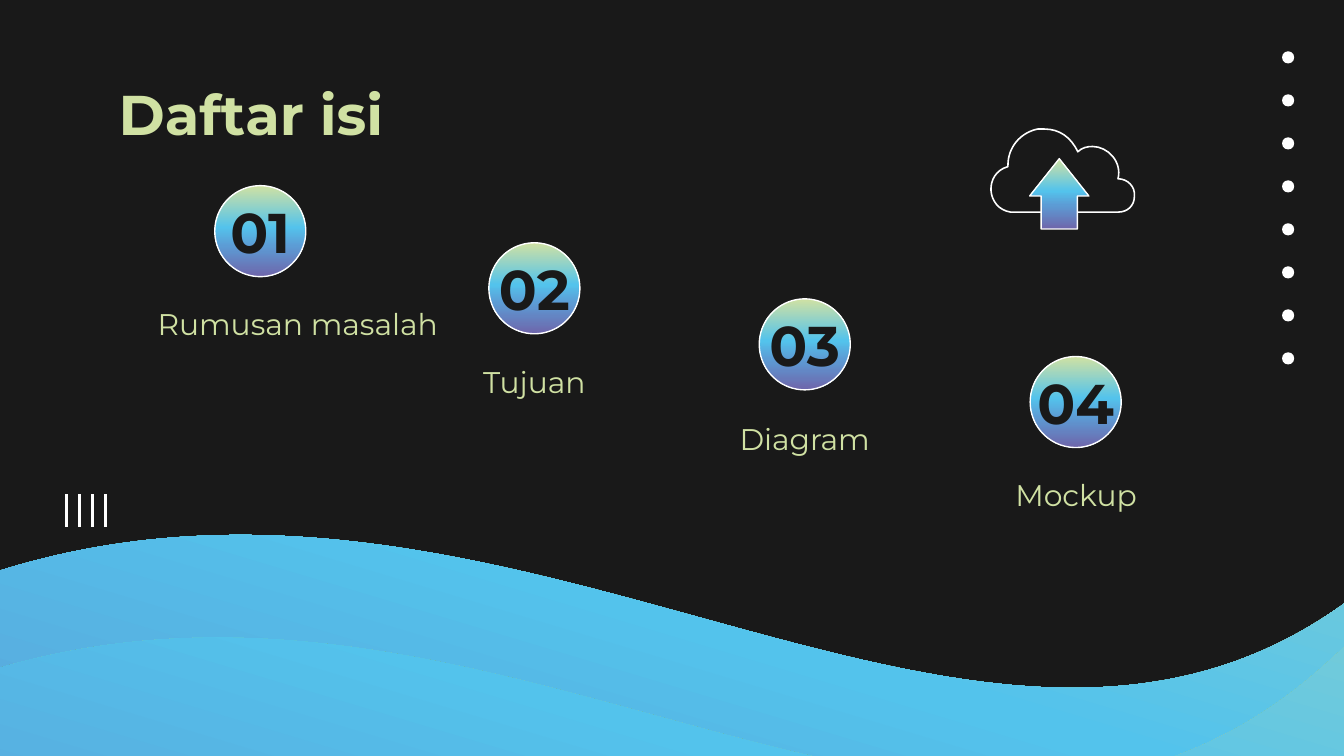
from math import cos, radians, sin

from lxml import etree
from pptx import Presentation
from pptx.dml.color import RGBColor
from pptx.enum.shapes import MSO_CONNECTOR, MSO_SHAPE
from pptx.enum.text import MSO_ANCHOR, MSO_AUTO_SIZE, PP_ALIGN
from pptx.oxml.ns import qn
from pptx.util import Cm, Pt

OVAL, UP_ARROW = MSO_SHAPE.OVAL, MSO_SHAPE.UP_ARROW
STRAIGHT = MSO_CONNECTOR.STRAIGHT
TOP, MIDDLE = MSO_ANCHOR.TOP, MSO_ANCHOR.MIDDLE
LEFT, CENTER = PP_ALIGN.LEFT, PP_ALIGN.CENTER
NO_FIT = MSO_AUTO_SIZE.NONE

# Content (lengths in cm)
DARK, LIME, WHITE = "191919", "D0E1A3", "FFFFFF"
GRADIENT = [(0, LIME), (46, "53C3EC"), (66, "5C9CD5"), (100, "6E66AB")]
TITLE = "Daftar isi"
# number and its width, circle left and top, label, its centre, top and width
TOPICS = [
    ("01", 2.44, 4.06, 3.51, "Rumusan masalah", 5.63, 5.53, 5.87),
    ("02", 3.81, 9.24, 4.59, "Tujuan", 10.10, 6.63, 4.57),
    ("03", 3.81, 14.35, 5.65, "Diagram", 15.21, 7.70, 4.57),
    ("04", 3.81, 19.47, 6.74, "Mockup", 20.34, 8.77, 4.57),
]
CIRCLE, NUMBER_H, LABEL_H = 1.72, 1.52, 1.27
HEADING = {"size": Pt(30), "bold": True, "name": "Montserrat"}
LABEL = {"size": Pt(16), "bold": False, "name": "Montserrat"}

# Outlines: a start, then corners (x, y) or curves (x1, y1, x2, y2, x, y)
WAVE_TILT = 16.7
WAVES = [  # centre, outline
    ((16.45, 14.48), [
        (31.42, 7.90), (29.79, 8.18, 27.61, 9.53, 26.09, 10.87),
        (18.26, 17.68, 8.23, 5.41, -3.33, 12.29), (-5.33, 19), (4.39, 21.89),
        (7.06, 20.17, 18.97, 19.08, 21.26, 19.25),
        (31.83, 20.07, 32.46, 21.36, 34.80, 21.51)]),
    ((15.54, 16.37), [
        (30.40, 9.32), (28.80, 9.65, 26.64, 11.10, 25.12, 12.50),
        (17.27, 19.66, 7.57, 7.14, -3.94, 14.43), (-6.02, 21.39), (3.53, 24.26),
        (6.17, 22.43, 17.96, 21.11, 20.22, 21.26),
        (30.63, 21.92, 31.24, 23.27, 33.53, 23.39)]),
]
CLOUD = [
    (19.74, 2.44), (19.69, 2.44, 19.63, 2.44, 19.61, 2.44),
    (19.28, 2.51, 19.05, 2.79, 19.05, 3.12), (19.05, 3.15),
    (18.59, 3.28, 18.64, 3.94, 19.10, 4.01), (21.13, 4.01),
    (21.31, 4.01, 21.44, 3.89, 21.44, 3.71),
    (21.46, 3.53, 21.31, 3.38, 21.13, 3.38),
    (21.21, 3.05, 20.93, 2.77, 20.65, 2.77),
    (20.55, 2.77, 20.45, 2.79, 20.37, 2.87),
    (20.24, 2.59, 20.02, 2.44, 19.74, 2.44),
]


def rgb(code):
    return RGBColor.from_string(code)


def paint(sp, fill=None, line=None, width=0.75):
    """Fill with a colour, a list of gradient stops or nothing."""
    sp.shadow.inherit = False
    if isinstance(fill, list):
        sp.fill.gradient()
        sp.fill.gradient_angle = 270
        stops = sp._element.spPr.find(".//" + qn("a:gsLst"))
        stops.clear()
        for pos, code in fill:
            gs = etree.SubElement(stops, qn("a:gs"), pos=str(pos * 1000))
            etree.SubElement(gs, qn("a:srgbClr"), val=code)
    elif fill:
        sp.fill.solid()
        sp.fill.fore_color.rgb = rgb(fill)
    else:
        sp.fill.background()
    if line:
        sp.line.color.rgb = rgb(line)
        sp.line.width = Pt(width)
    else:
        sp.line.fill.background()


def add_shape(kind, x, y, w, h, **look):
    sp = shapes.add_shape(kind, Cm(x), Cm(y), Cm(w), Cm(h))
    paint(sp, **look)
    return sp


def turn(part, centre, degrees):
    """Rotate every point of one corner or curve about the centre."""
    cx, cy = centre
    co, si = cos(radians(degrees)), sin(radians(degrees))
    turned = []
    for x, y in zip(part[::2], part[1::2]):
        turned += [cx + (x - cx) * co - (y - cy) * si,
                   cy + (x - cx) * si + (y - cy) * co]
    return tuple(turned)


def add_outline(outline, **look):
    """Draw a closed outline, joining each curve's three points into a Bézier."""
    points = [(Cm(x), Cm(y)) for part in outline
              for x, y in zip(part[::2], part[1::2])]
    builder = shapes.build_freeform(*points[0])
    builder.add_line_segments(points[1:], close=True)
    sp = builder.convert_to_shape()
    segments = iter(sp._element.spPr.findall(".//" + qn("a:lnTo")))
    for part in outline[1:]:
        first = next(segments)
        if len(part) == 6:
            first.tag = qn("a:cubicBezTo")
            for _ in range(2):
                extra = next(segments)
                first.append(extra[0])
                extra.getparent().remove(extra)
    paint(sp, **look)
    return sp


def set_text(sp, text, font, color, align=CENTER, anchor=TOP):
    tf = sp.text_frame
    frame = {"word_wrap": True, "auto_size": NO_FIT, "vertical_anchor": anchor}
    frame.update({f"margin_{side}": Cm(0.25) for side in ("left", "right", "top", "bottom")})
    for name, value in frame.items():
        setattr(tf, name, value)
    p = tf.paragraphs[0]
    p.alignment = align
    r = p.add_run()
    r.text = text
    for name, value in font.items():
        setattr(r.font, name, value)
    r.font.color.rgb = rgb(color)


def add_text(centre, y, w, h, *args, **kwargs):
    sp = shapes.add_textbox(Cm(centre - w / 2), Cm(y), Cm(w), Cm(h))
    set_text(sp, *args, **kwargs)


# Slide and background
prs = Presentation()
prs.slide_width, prs.slide_height = Cm(25.4), Cm(14.29)
slide = prs.slides.add_slide(prs.slide_layouts[5])
shapes = slide.shapes
slide.background.fill.solid()
slide.background.fill.fore_color.rgb = rgb(DARK)

# Waves, drawn level and then tilted so the gradient tilts too
for centre, outline in WAVES:
    level = [turn(part, centre, -WAVE_TILT) for part in outline]
    wave = add_outline(level, fill=GRADIENT)
    wave.rotation = WAVE_TILT

# Column of dots and row of bars
for i in range(8):
    add_shape(OVAL, 24.23, 0.97 + 5.69 / 7 * i, 0.23, 0.23, fill=WHITE)
for i in range(4):
    x = Cm(1.25 + 0.74 / 3 * i)
    bar = shapes.add_connector(STRAIGHT, x, Cm(9.34), x, Cm(9.96))
    bar.line.color.rgb = rgb(WHITE)
    bar.line.width = Pt(1.5)
    etree.SubElement(bar._element.spPr, qn("a:effectLst"))

# Title
title = shapes.title
title.left, title.top, title.width, title.height = Cm(1.99), Cm(1.26), Cm(20.32), Cm(2.01)
set_text(title, TITLE, HEADING, LIME, align=LEFT)

# Numbered topics
for number, number_w, x, y, label, label_centre, label_y, label_w in TOPICS:
    add_shape(OVAL, x, y, CIRCLE, CIRCLE, fill=GRADIENT, line=WHITE)
    add_text(x + CIRCLE / 2, y + (CIRCLE - NUMBER_H) / 2, number_w, NUMBER_H,
             number, HEADING, DARK, anchor=MIDDLE)
    add_text(label_centre, label_y, label_w, LABEL_H, label, LABEL, LIME)

# Cloud with upload arrow
add_outline(CLOUD, line=WHITE, width=0.85)
arrow = add_shape(UP_ARROW, 19.46, 3, 1.12, 1.33, fill=GRADIENT, line=WHITE)
arrow.adjustments[0], arrow.adjustments[1] = 0.61, 0.63

prs.save("out.pptx")
